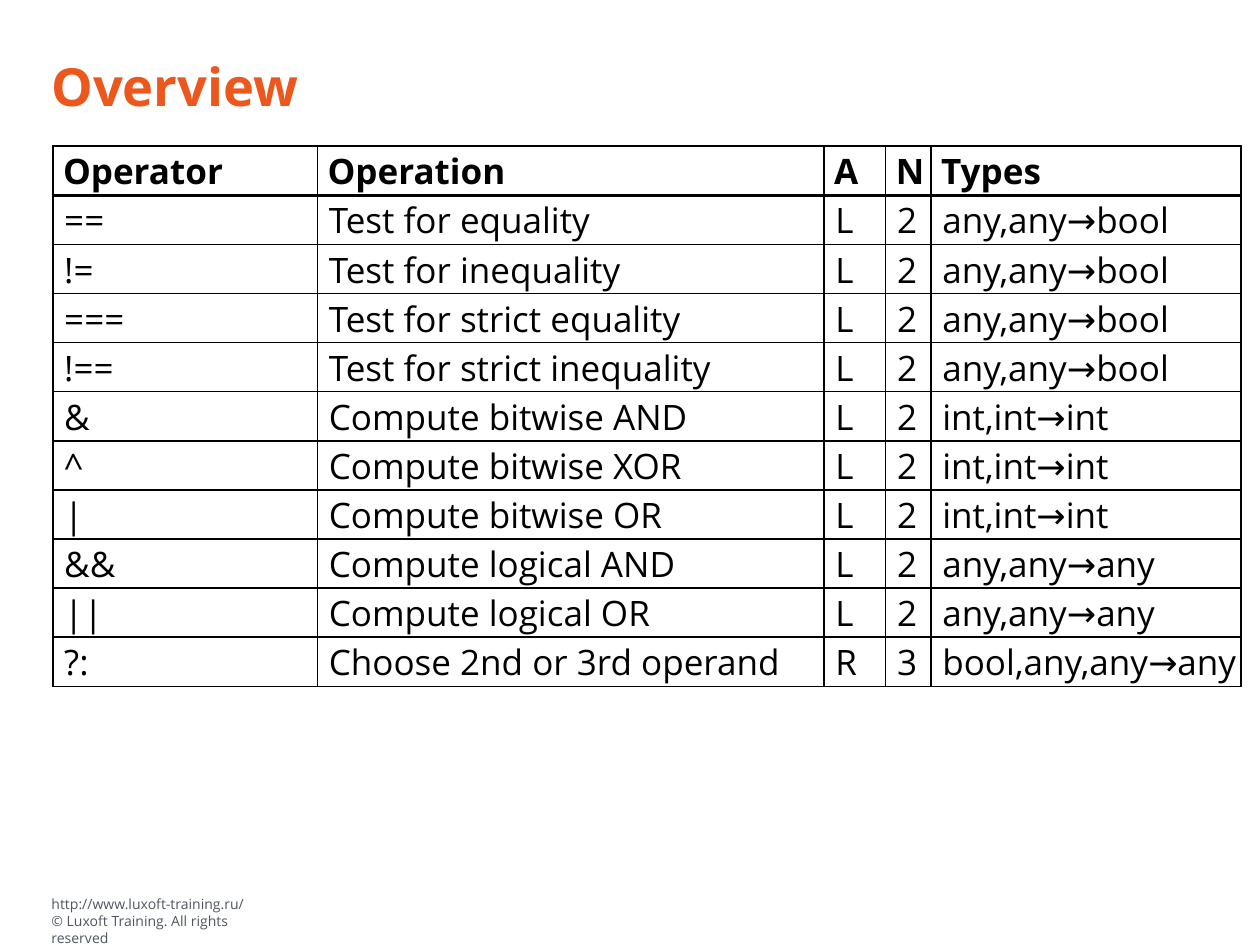
"""Build the operator overview slide."""
from lxml import etree
from pptx import Presentation
from pptx import util as u
from pptx.dml.color import RGBColor
from pptx.enum import text
from pptx.oxml import ns

ORANGE = RGBColor(0xEB, 0x57, 0x1C)
GREY = RGBColor(0x4E, 0x57, 0x61)
BLACK = RGBColor(0, 0, 0)

COLUMNS = [2.1, 4.02, 0.49, 0.36, 2.46]
HEADER = ["Operator", "Operation", "A", "N", "Types"]
OPERATORS = [
    ("==", "Test for equality", "L", "2", "any,any→bool"),
    ("!=", "Test for inequality", "L", "2", "any,any→bool"),
    ("===", "Test for strict equality", "L", "2", "any,any→bool"),
    ("!==", "Test for strict inequality", "L", "2", "any,any→bool"),
    ("&", "Compute bitwise AND", "L", "2", "int,int→int"),
    ("^", "Compute bitwise XOR", "L", "2", "int,int→int"),
    ("|", "Compute bitwise OR", "L", "2", "int,int→int"),
    ("&&", "Compute logical AND", "L", "2", "any,any→any"),
    ("||", "Compute logical OR", "L", "2", "any,any→any"),
    ("?:", "Choose 2nd or 3rd operand", "R", "3", "bool,any,any→any"),
]


class SlideBuilder:
    def __init__(self, slide, font):
        self.s = slide
        self.font = font

    def run(self, p, words, size, color, bold=False):
        r = p.add_run()
        r.text = words
        r.font.name = self.font
        r.font.size = u.Pt(size)
        r.font.bold = bold
        r.font.color.rgb = color

    def textbox(self, box, lines, size, color, bold=False,
                anchor=text.MSO_ANCHOR.TOP):
        tf = self.s.shapes.add_textbox(*map(u.Inches, box)).text_frame
        tf.word_wrap = True
        tf.vertical_anchor = anchor
        for i, line in enumerate(lines):
            p = tf.add_paragraph() if i else tf.paragraphs[0]
            self.run(p, line, size, color, bold)

    def borders(self, cell, bottom):
        tcPr = cell._tc.get_or_add_tcPr()
        widths = {"a:lnL": 1, "a:lnR": 1, "a:lnT": 1, "a:lnB": bottom}
        for i, (tag, width) in enumerate(widths.items()):
            ln = etree.Element(ns.qn(tag), w=str(u.Pt(width)))
            fill = etree.SubElement(ln, ns.qn("a:solidFill"))
            etree.SubElement(fill, ns.qn("a:srgbClr"), val=str(BLACK))
            tcPr.insert(i, ln)

    def cell(self, cell, words, header):
        cell.fill.background()
        cell.vertical_anchor = text.MSO_ANCHOR.MIDDLE
        cell.margin_left = u.Inches(0.08 if header else 0.09)
        cell.margin_right = cell.margin_top = u.Inches(0.01)
        cell.margin_bottom = 0
        self.run(cell.text_frame.paragraphs[0], words, 20, BLACK, header)
        self.borders(cell, 2 if header else 1)

    def table(self, left, top, columns, rows, row_height):
        size = (sum(columns), row_height * len(rows))
        table = self.s.shapes.add_table(
            len(rows), len(columns), *map(u.Inches, (left, top, *size))).table
        table.first_row = table.horz_banding = False
        for column, width in zip(table.columns, columns):
            column.width = u.Inches(width)
        for i, row in enumerate(table.rows):
            row.height = u.Inches(row_height)
            for cell, words in zip(row.cells, rows[i]):
                self.cell(cell, words, i == 0)


def main():
    prs = Presentation()
    prs.slide_width, prs.slide_height = u.Inches(10), u.Inches(7.5)
    s = SlideBuilder(prs.slides.add_slide(prs.slide_layouts[6]), "Open Sans")
    s.textbox((0.31, 7.06, 2.03, 0.37),
              ["http://www.luxoft-training.ru/",
               "© Luxoft Training. All rights reserved"], 8, GREY)
    s.textbox((0.31, 0.4, 9.4, 0.55), ["Overview"], 30, ORANGE, True,
              text.MSO_ANCHOR.MIDDLE)
    s.table(0.42, 1.16, COLUMNS, [HEADER, *OPERATORS], 0.39)
    prs.save("out.pptx")


if __name__ == "__main__":
    main()
